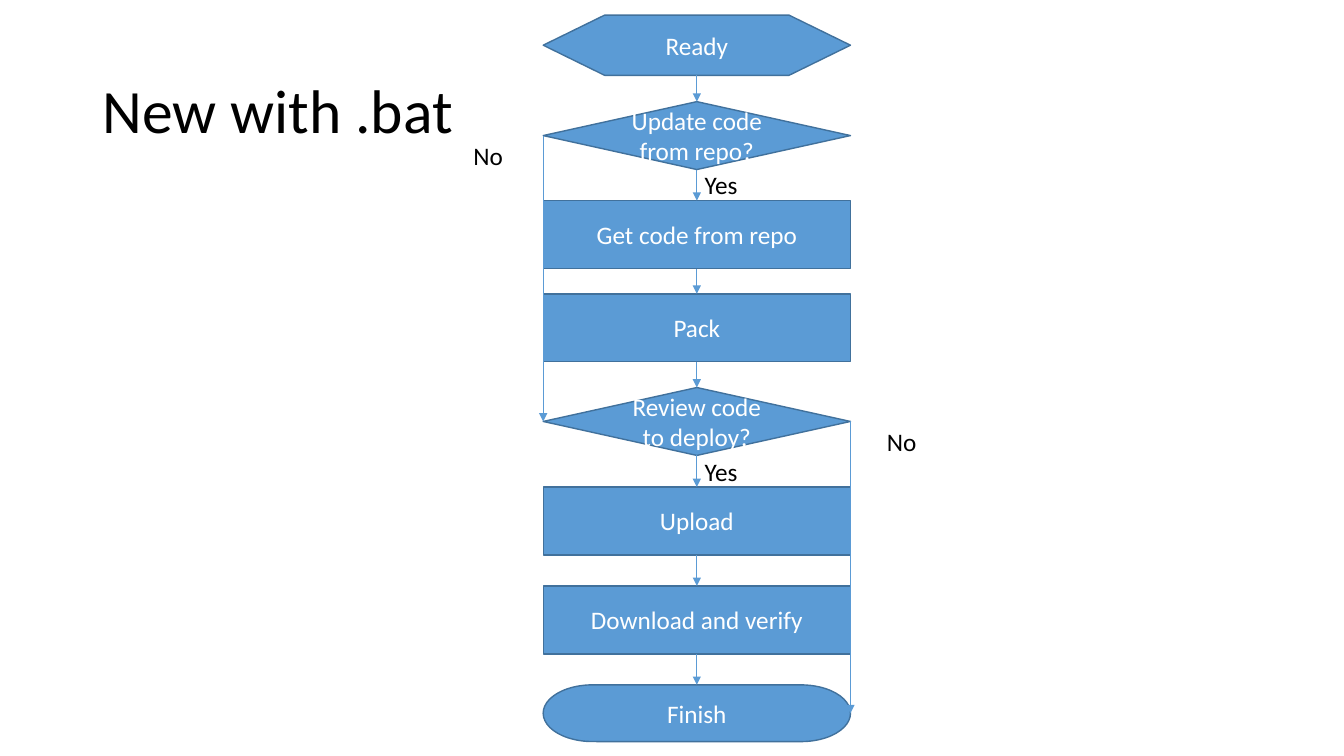
from dataclasses import dataclass
from itertools import pairwise

from lxml.etree import SubElement
from pptx import Presentation
from pptx.dml.color import RGBColor
from pptx.enum.shapes import MSO_CONNECTOR, MSO_SHAPE
from pptx.enum.text import MSO_ANCHOR, PP_ALIGN
from pptx.oxml.ns import qn
from pptx.shapes.autoshape import Shape
from pptx.slide import Slide
from pptx.util import Pt


@dataclass(frozen=True)
class Theme:
    font: str = "Calibri"
    fill: RGBColor = RGBColor(0x5B, 0x9B, 0xD5)
    outline: RGBColor = RGBColor(0x41, 0x71, 0x9C)
    dark: RGBColor = RGBColor(0, 0, 0)
    light: RGBColor = RGBColor(255, 255, 255)
    title_size: float = 44
    text_size: float = 18
    outline_width: float = 1
    arrow_width: float = 0.5


@dataclass(frozen=True)
class Step:
    text: str
    kind: MSO_SHAPE
    top: float
    height: float = 48.5


@dataclass(frozen=True)
class Label:
    text: str
    left: float
    top: float


THEME = Theme()
STEP_LEFT, STEP_WIDTH = 388, 219.5
LABEL_WIDTH, LABEL_HEIGHT = 40.3, 29
TOP_SITE, LEFT_SITE, BOTTOM_SITE, RIGHT_SITE = range(4)

READY = Step("Ready", MSO_SHAPE.FLOWCHART_PREPARATION, 10.8, 43)
UPDATE = Step("Update code from repo?", MSO_SHAPE.FLOWCHART_DECISION, 72.6)
GET_CODE = Step("Get code from repo", MSO_SHAPE.FLOWCHART_PROCESS, 143.3)
PACK = Step("Pack", MSO_SHAPE.FLOWCHART_PROCESS, 209.9)
REVIEW = Step("Review code to deploy?", MSO_SHAPE.FLOWCHART_DECISION, 276.8)
UPLOAD = Step("Upload", MSO_SHAPE.FLOWCHART_PROCESS, 347.8)
VERIFY = Step("Download and verify", MSO_SHAPE.FLOWCHART_PROCESS, 418.5)
FINISH = Step("Finish", MSO_SHAPE.FLOWCHART_TERMINATOR, 489.2, 40.5)
STEPS = [READY, UPDATE, GET_CODE, PACK, REVIEW, UPLOAD, VERIFY, FINISH]

LABELS = [
    Label("Yes", 496.3, 117.6),
    Label("No", 331, 96.8),
    Label("Yes", 496.3, 322.1),
    Label("No", 626.4, 301.3),
]


def write_text(
    box: Shape,
    text: str,
    *,
    size: float = THEME.text_size,
    color: RGBColor = THEME.dark,
    align: PP_ALIGN = PP_ALIGN.LEFT,
    anchor: MSO_ANCHOR = MSO_ANCHOR.MIDDLE,
    line_spacing: float = 1.0,
) -> None:
    frame = box.text_frame
    frame.word_wrap = True
    frame.vertical_anchor = anchor
    para = frame.paragraphs[0]
    para.alignment = align
    para.line_spacing = line_spacing
    span = para.add_run()
    span.text = text
    span.font.name = THEME.font
    span.font.size = Pt(size)
    span.font.color.rgb = color


def add_title(page: Slide, text: str) -> None:
    title = page.shapes.title
    title.left, title.top = Pt(66), Pt(28.8)
    title.width, title.height = Pt(828), Pt(104.4)
    write_text(title, text, size=THEME.title_size, line_spacing=0.9)


def add_step(page: Slide, step: Step) -> Shape:
    box = page.shapes.add_shape(
        step.kind, Pt(STEP_LEFT), Pt(step.top), Pt(STEP_WIDTH), Pt(step.height)
    )
    box.shadow.inherit = False
    box.fill.solid()
    box.fill.fore_color.rgb = THEME.fill
    box.line.color.rgb = THEME.outline
    box.line.width = Pt(THEME.outline_width)
    write_text(box, step.text, color=THEME.light, align=PP_ALIGN.CENTER)
    return box


def add_arrow(
    page: Slide, start: Shape, start_site: int, end: Shape, end_site: int
) -> None:
    arrow = page.shapes.add_connector(MSO_CONNECTOR.STRAIGHT, 0, 0, 0, 0)
    arrow.begin_connect(start, start_site)
    arrow.end_connect(end, end_site)
    arrow.line.color.rgb = THEME.fill
    arrow.line.width = Pt(THEME.arrow_width)
    properties = arrow.element.spPr
    SubElement(properties.find(qn("a:ln")), qn("a:tailEnd"), type="triangle")
    SubElement(properties, qn("a:effectLst"))


def add_label(page: Slide, label: Label) -> None:
    box = page.shapes.add_textbox(
        Pt(label.left), Pt(label.top), Pt(LABEL_WIDTH), Pt(LABEL_HEIGHT)
    )
    write_text(box, label.text, anchor=MSO_ANCHOR.TOP)


def main() -> None:
    deck = Presentation()
    deck.slide_width, deck.slide_height = Pt(960), Pt(540)
    page = deck.slides.add_slide(deck.slide_layouts.get_by_name("Title Only"))
    add_title(page, "New with .bat")
    boxes = {step: add_step(page, step) for step in STEPS}
    for upper, lower in pairwise(STEPS):
        add_arrow(page, boxes[upper], BOTTOM_SITE, boxes[lower], TOP_SITE)
    add_arrow(page, boxes[UPDATE], LEFT_SITE, boxes[REVIEW], LEFT_SITE)
    add_arrow(page, boxes[REVIEW], RIGHT_SITE, boxes[FINISH], RIGHT_SITE)
    for label in LABELS:
        add_label(page, label)
    deck.save("out.pptx")


if __name__ == "__main__":
    main()
